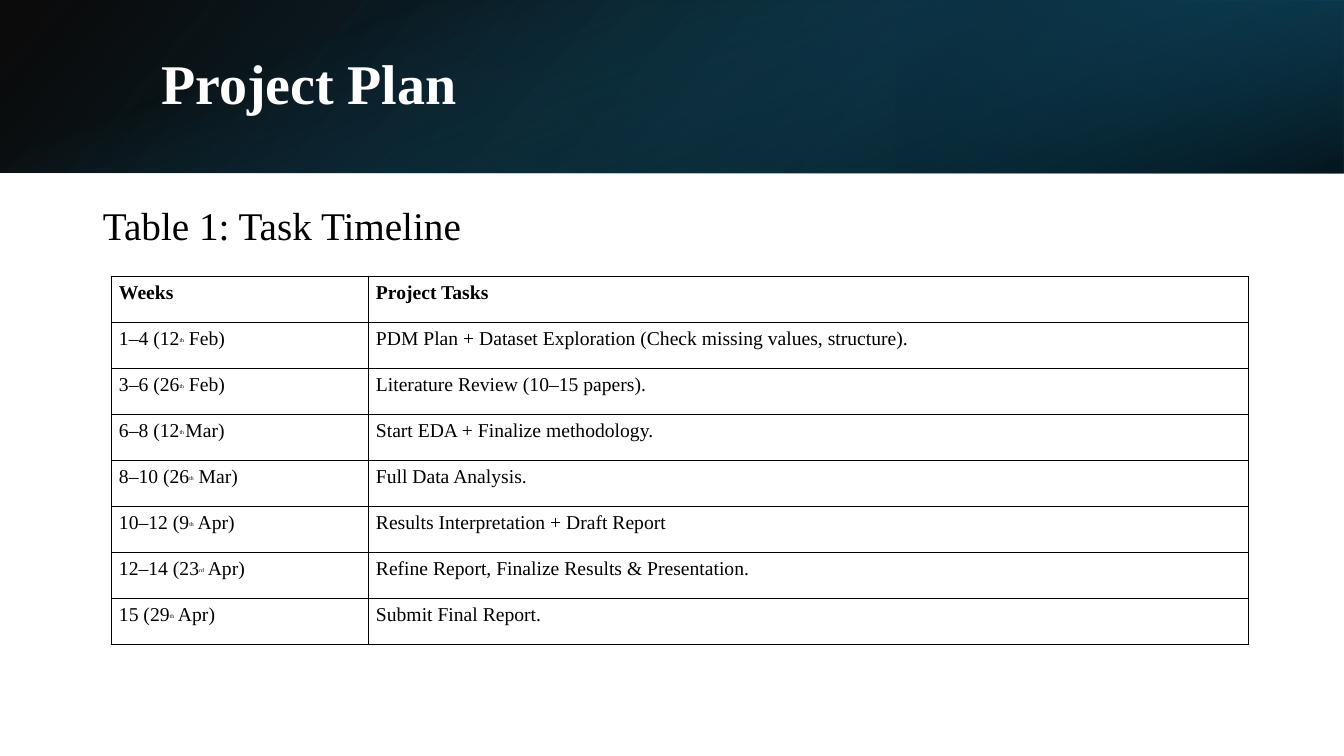
"""Build the project plan slide with its task timeline table."""
import dataclasses

import lxml.etree
import pptx
import pptx.dml.color
import pptx.enum.shapes
import pptx.enum.text
import pptx.oxml
import pptx.oxml.ns
import pptx.util

EMU_PER_PX = 914400 / 100.8
FONT = "Times New Roman"
BLACK, WHITE = "000000", "FFFFFF"
COLUMN_WIDTHS = (257, 881)
ROW_HEIGHT = 46
CELL_INSET = 8


@dataclasses.dataclass(frozen=True)
class Stop:
    position: int
    color: str
    opacity: int


@dataclasses.dataclass(frozen=True)
class Band:
    box: tuple[int, int, int, int]
    stops: tuple[Stop, Stop]
    angle: int
    rotation: int = 0
    flipped: bool = False


@dataclasses.dataclass(frozen=True)
class Task:
    weeks: str
    ordinal: str
    month: str
    work: str


BANDS = (
    Band((0, 0, 1344, 173), (Stop(0, BLACK, 96), Stop(100, "104862", 100)), 140, flipped=True),
    Band((896, 0, 448, 173), (Stop(19, "0B3041", 68), Stop(100, "156082", 79)), 320, 180, True),
    Band((585, -585, 173, 1344), (Stop(23, "156082", 0), Stop(99, BLACK, 74)), 340, 90),
)

TASKS = (
    Task("1–4 (12", "th", " Feb)", "PDM Plan + Dataset Exploration (Check missing values, structure)."),
    Task("3–6 (26", "th", " Feb)", "Literature Review (10–15 papers)."),
    Task("6–8 (12", "th ", "Mar)", "Start EDA + Finalize methodology."),
    Task("8–10 (26", "th", " Mar)", "Full Data Analysis."),
    Task("10–12 (9", "th", " Apr)", "Results Interpretation + Draft Report"),
    Task("12–14 (23", "rd", " Apr)", "Refine Report, Finalize Results & Presentation."),
    Task("15 (29", "th", " Apr)", "Submit Final Report."),
)


def px(length: int) -> int:
    """Turn px into EMU."""
    return pptx.util.Emu(round(length * EMU_PER_PX))


def rgb(color: str) -> pptx.dml.color.RGBColor:
    """Turn a hex string into a colour."""
    return pptx.dml.color.RGBColor.from_string(color)


def add_text(paragraph, text: str, *, size: int = 14, color: str = BLACK,
             bold: bool = False, baseline: int = 0) -> None:
    """Add a formatted run to a paragraph, raised by baseline percent."""
    run = paragraph.add_run()
    run.text = text
    run.font.name = FONT
    run.font.size = pptx.util.Pt(size)
    run.font.bold = bold
    run.font.color.rgb = rgb(color)
    if baseline:
        run.font._element.set("baseline", str(baseline * 1000))


def add_band(slide, band: Band) -> None:
    """Draw one translucent gradient layer of the header."""
    shape = slide.shapes.add_shape(
        pptx.enum.shapes.MSO_SHAPE.RECTANGLE, *(px(side) for side in band.box))
    shape.shadow.inherit = False
    shape.rotation = band.rotation
    shape.line.fill.background()
    properties = shape._element.spPr
    if band.flipped:
        properties.xfrm.set("flipH", "1")
    stops = "".join(
        f'<a:gs pos="{stop.position * 1000}"><a:srgbClr val="{stop.color}">'
        f'<a:alpha val="{stop.opacity * 1000}"/></a:srgbClr></a:gs>'
        for stop in band.stops)
    gradient = pptx.oxml.parse_xml(
        f'<a:gradFill {pptx.oxml.ns.nsdecls("a")}><a:gsLst>{stops}</a:gsLst>'
        f'<a:lin ang="{band.angle * 60000}" scaled="0"/></a:gradFill>')
    properties.find(pptx.oxml.ns.qn("a:prstGeom")).addnext(gradient)


def add_title(slide) -> None:
    """Place the slide title in front of the header bands."""
    title = slide.shapes.title
    title.left, title.top, title.width, title.height = map(px, (151, 38, 1107, 97))
    slide.shapes._spTree.append(title._element)
    title.text_frame.auto_size = pptx.enum.text.MSO_AUTO_SIZE.NONE
    title.text_frame.vertical_anchor = pptx.enum.text.MSO_ANCHOR.MIDDLE
    paragraph = title.text_frame.paragraphs[0]
    paragraph.alignment = pptx.enum.text.PP_ALIGN.LEFT
    paragraph.line_spacing = 0.9
    add_text(paragraph, "Project Plan", size=40, color=WHITE, bold=True)


def add_caption(slide) -> None:
    """Write the table caption."""
    caption = slide.shapes.add_textbox(*map(px, (93, 202, 1159, 480)))
    caption.text_frame.word_wrap = True
    paragraph = caption.text_frame.paragraphs[0]
    paragraph.line_spacing = 0.9
    paragraph.space_before = pptx.util.Pt(10)
    add_text(paragraph, "Table 1: Task Timeline", size=28)


def format_cell(cell):
    """Set a cell's insets, borders and empty fill, and return its paragraph."""
    cell.margin_left = cell.margin_right = px(CELL_INSET)
    cell.margin_top = cell.margin_bottom = px(CELL_INSET)
    cell.fill.background()
    properties = cell._tc.get_or_add_tcPr()
    for index, side in enumerate("LRTB"):
        border = lxml.etree.fromstring(
            f'<a:ln{side} {pptx.oxml.ns.nsdecls("a")} w="{pptx.util.Pt(0.75)}">'
            f'<a:solidFill><a:srgbClr val="{BLACK}"/></a:solidFill></a:ln{side}>')
        properties.insert(index, border)
    paragraph = cell.text_frame.paragraphs[0]
    paragraph.line_spacing = pptx.util.Pt(14.2)
    return paragraph


def add_timeline(slide) -> None:
    """Draw the table of weeks and tasks."""
    row_count = len(TASKS) + 1
    timeline = slide.shapes.add_table(
        row_count, len(COLUMN_WIDTHS), px(111), px(276),
        px(sum(COLUMN_WIDTHS)), px(ROW_HEIGHT * row_count)).table
    timeline.first_row = timeline.horz_banding = False
    for column, width in zip(timeline.columns, COLUMN_WIDTHS):
        column.width = px(width)
    for row in timeline.rows:
        row.height = px(ROW_HEIGHT)
    for column, heading in enumerate(("Weeks", "Project Tasks")):
        add_text(format_cell(timeline.cell(0, column)), heading, bold=True)
    for row, task in enumerate(TASKS, start=1):
        weeks = format_cell(timeline.cell(row, 0))
        add_text(weeks, task.weeks)
        add_text(weeks, task.ordinal, size=7, baseline=30)
        add_text(weeks, task.month)
        add_text(format_cell(timeline.cell(row, 1)), task.work)


def main() -> None:
    """Build and save the slide."""
    deck = pptx.Presentation()
    deck.slide_width, deck.slide_height = px(1344), px(756)
    slide = deck.slides.add_slide(deck.slide_layouts.get_by_name("Title Only"))
    slide.background.fill.solid()
    slide.background.fill.fore_color.rgb = rgb(WHITE)
    for band in BANDS:
        add_band(slide, band)
    add_title(slide)
    add_caption(slide)
    add_timeline(slide)
    deck.save("out.pptx")


if __name__ == "__main__":
    main()
